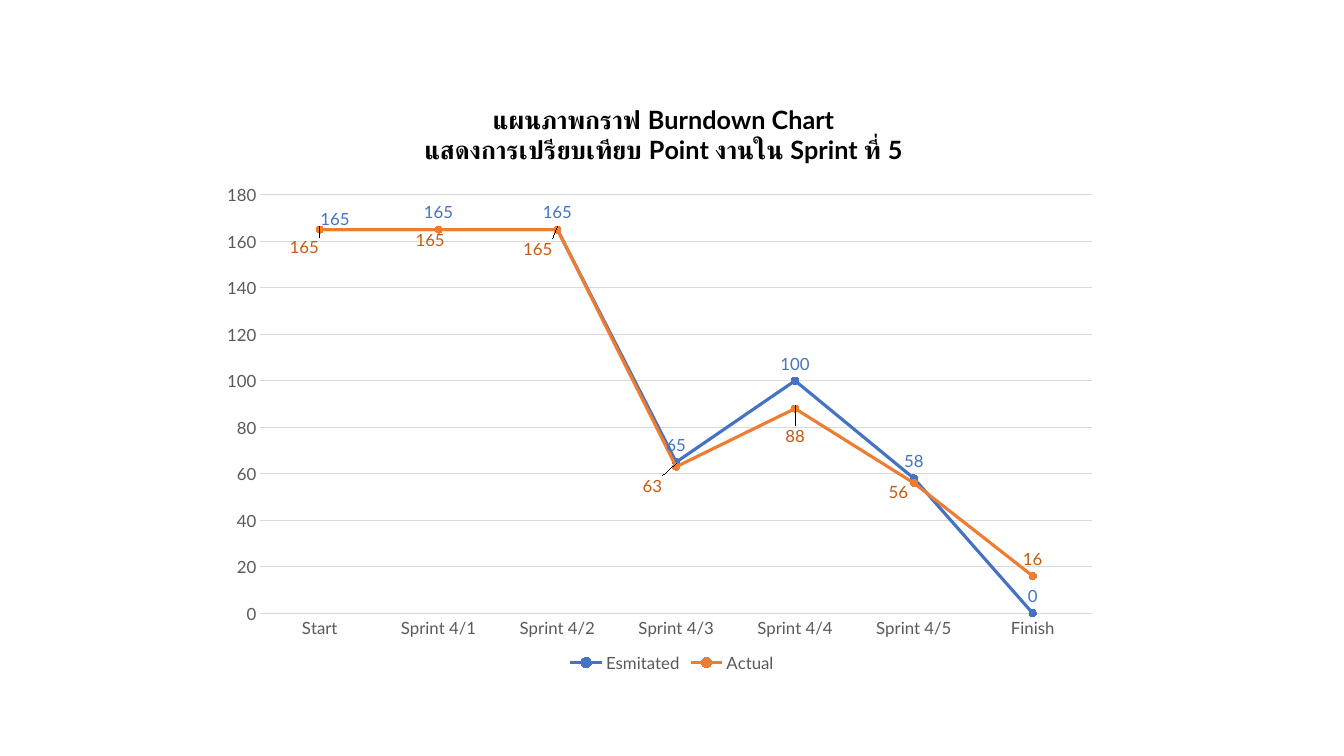
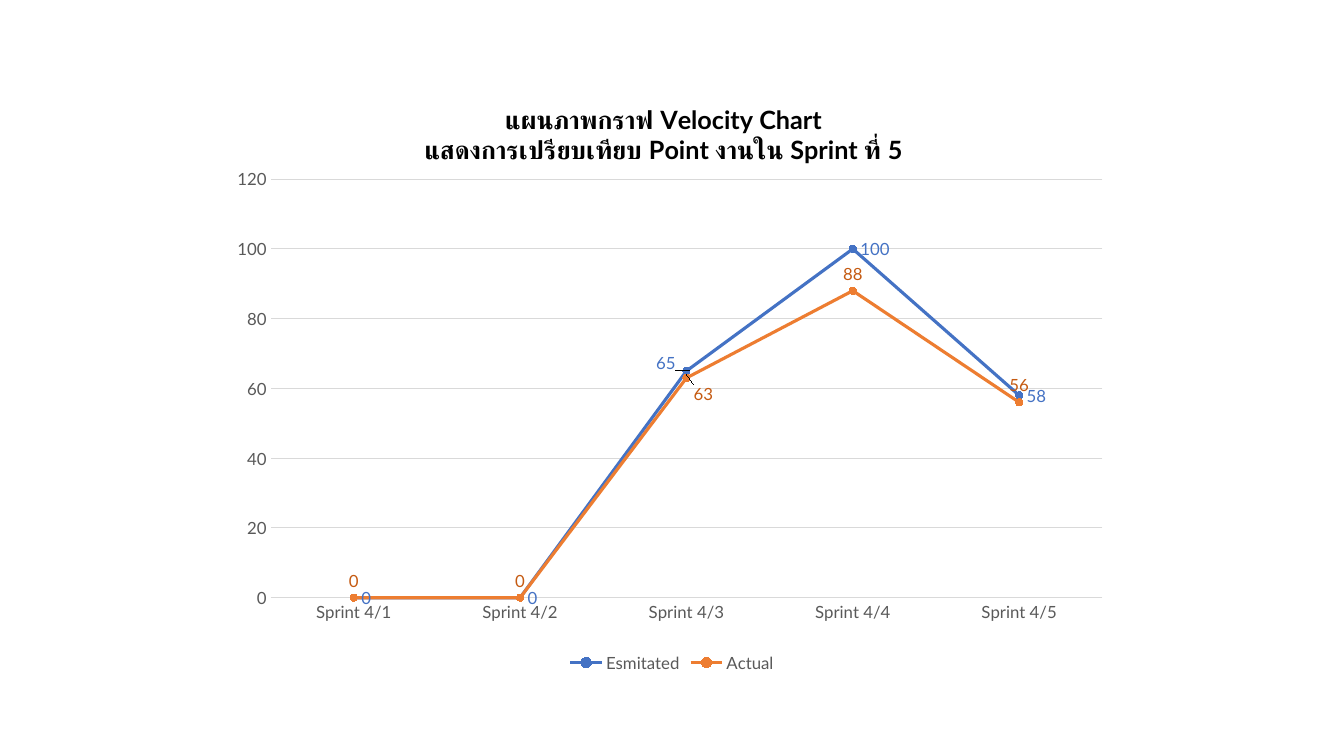
from lxml import etree
from pptx import Presentation
from pptx.chart.data import CategoryChartData
from pptx.dml.color import RGBColor
from pptx.enum.chart import (
    XL_CHART_TYPE, XL_LABEL_POSITION, XL_LEGEND_POSITION, XL_MARKER_STYLE, XL_TICK_MARK)
from pptx.oxml.ns import qn
from pptx.util import Inches, Pt

LINE = XL_CHART_TYPE.LINE_MARKERS
ABOVE = XL_LABEL_POSITION.ABOVE
RIGHT = XL_LABEL_POSITION.RIGHT
BOTTOM = XL_LEGEND_POSITION.BOTTOM
CIRCLE = XL_MARKER_STYLE.CIRCLE
NONE = XL_TICK_MARK.NONE

BLACK = RGBColor(0x00, 0x00, 0x00)
GRAY = RGBColor(0x59, 0x59, 0x59)
RULE = RGBColor(0xD9, 0xD9, 0xD9)
BLUE = RGBColor(0x44, 0x72, 0xC4)
ORANGE = RGBColor(0xED, 0x7D, 0x31)
RUST = RGBColor(0xC5, 0x5A, 0x11)
FACE = "Lato"

deck = Presentation()
deck.slide_width = Inches(13.33)
deck.slide_height = Inches(7.5)
wide = deck.slide_width * 2 // 3
high = int(deck.slide_height * 0.79)
left = (deck.slide_width - wide) // 2
top = (deck.slide_height - high) // 2


def style(font, color, size=12, bold=False):
    font.name = FACE
    font.size = Pt(size)
    font.bold = bold
    font.color.rgb = color


def pin(node, index, modes, **spots):
    for old in node.findall(qn("c:layout")):
        node.remove(old)
    layout = etree.Element(qn("c:layout"))
    manual = etree.SubElement(layout, qn("c:manualLayout"))
    for tag, value in modes.items():
        etree.SubElement(manual, qn("c:" + tag)).set("val", value)
    for tag, points in spots.items():
        share = Pt(points) / (wide if tag in "xw" else high)
        etree.SubElement(manual, qn("c:" + tag)).set("val", f"{share:.4f}")
    node.insert(index, layout)


EDGE = {"xMode": "edge", "yMode": "edge"}
INNER = {"layoutTarget": "inner", **EDGE}
SPRINTS = [f"Sprint 4/{n}" for n in range(1, 6)]

CHARTS = [
    ("Burndown", ["Start", *SPRINTS, "Finish"], 180, (26, 82.4), [
        ("Esmitated", [165, 165, 165, 65, 100, 58, 0], BLUE, BLUE, ABOVE, {0: (11, 5)}),
        ("Actual", [165, 165, 165, 63, 88, 56, 16], ORANGE, RUST, ABOVE,
         {0: (-11, 25), 1: (-6, 20), 2: (-14, 26), 3: (-17, 26), 4: (0, 32), 5: (-11, 19)}),
    ]),
    ("Velocity", SPRINTS, 120, (33.3, 71.3), [
        ("Esmitated", [0, 0, 65, 100, 58], BLUE, BLUE, RIGHT, {2: (-27, -6)}),
        ("Actual", [0, 0, 63, 88, 56], ORANGE, RUST, ABOVE, {2: (12, 24)}),
    ]),
]

for kind, cats, peak, start, rows in CHARTS:
    slide = deck.slides.add_slide(deck.slide_layouts[6])
    data = CategoryChartData()
    data.categories = cats
    for name, vals, *rest in rows:
        data.add_series(name, vals)
    chart = slide.shapes.add_chart(LINE, left, top, wide, high, data).chart
    style(chart.font, BLACK, 10)

    frame = chart.chart_title.text_frame
    frame.text = f"แผนภาพกราฟ {kind} Chart\nแสดงการเปรียบเทียบ Point งานใน Sprint ที่ 5"
    for para in frame.paragraphs:
        for run in para.runs:
            style(run.font, BLACK, 18, True)
    chart.chart_title.include_in_layout = False
    root = chart.element if hasattr(chart, "element") else chart._chartSpace
    pin(root.find(".//" + qn("c:title")), 1, EDGE, x=141, y=14)
    pin(root.find(".//" + qn("c:plotArea")), 0, INNER, x=start[0], y=start[1], w=594, h=299)

    chart.has_legend = True
    chart.legend.position = BOTTOM
    chart.legend.include_in_layout = False
    style(chart.legend.font, GRAY)

    for axis in (chart.category_axis, chart.value_axis):
        axis.major_tick_mark = axis.minor_tick_mark = NONE
        style(axis.tick_labels.font, GRAY)
    scale = chart.value_axis
    scale.minimum_scale, scale.maximum_scale, scale.major_unit = 0, peak, 20
    scale.format.line.fill.background()
    scale.has_major_gridlines = True
    for line in (chart.category_axis.format.line, scale.major_gridlines.format.line):
        line.color.rgb = RULE
        line.width = Pt(0.75)

    plot = chart.plots[0]
    plot.vary_by_categories = False
    for series, (name, vals, color, ink, side, shifts) in zip(plot.series, rows):
        series.smooth = False
        series.format.line.color.rgb = color
        series.format.line.width = Pt(2.25)
        mark = series.marker
        mark.style = CIRCLE
        mark.size = 5
        mark.format.fill.solid()
        mark.format.fill.fore_color.rgb = color
        mark.format.line.color.rgb = color
        labels = series.data_labels
        labels.show_value = True
        labels.position = side
        style(labels.font, ink)
        for spot, (right, down) in shifts.items():
            label = series.points[spot].data_label
            label.position = side
            style(label.font, ink)
            node = series._element.xpath(f'c:dLbls/c:dLbl[c:idx/@val="{spot}"]')[0]
            pin(node, 1, {}, x=right, y=down)

deck.save("out.pptx")
